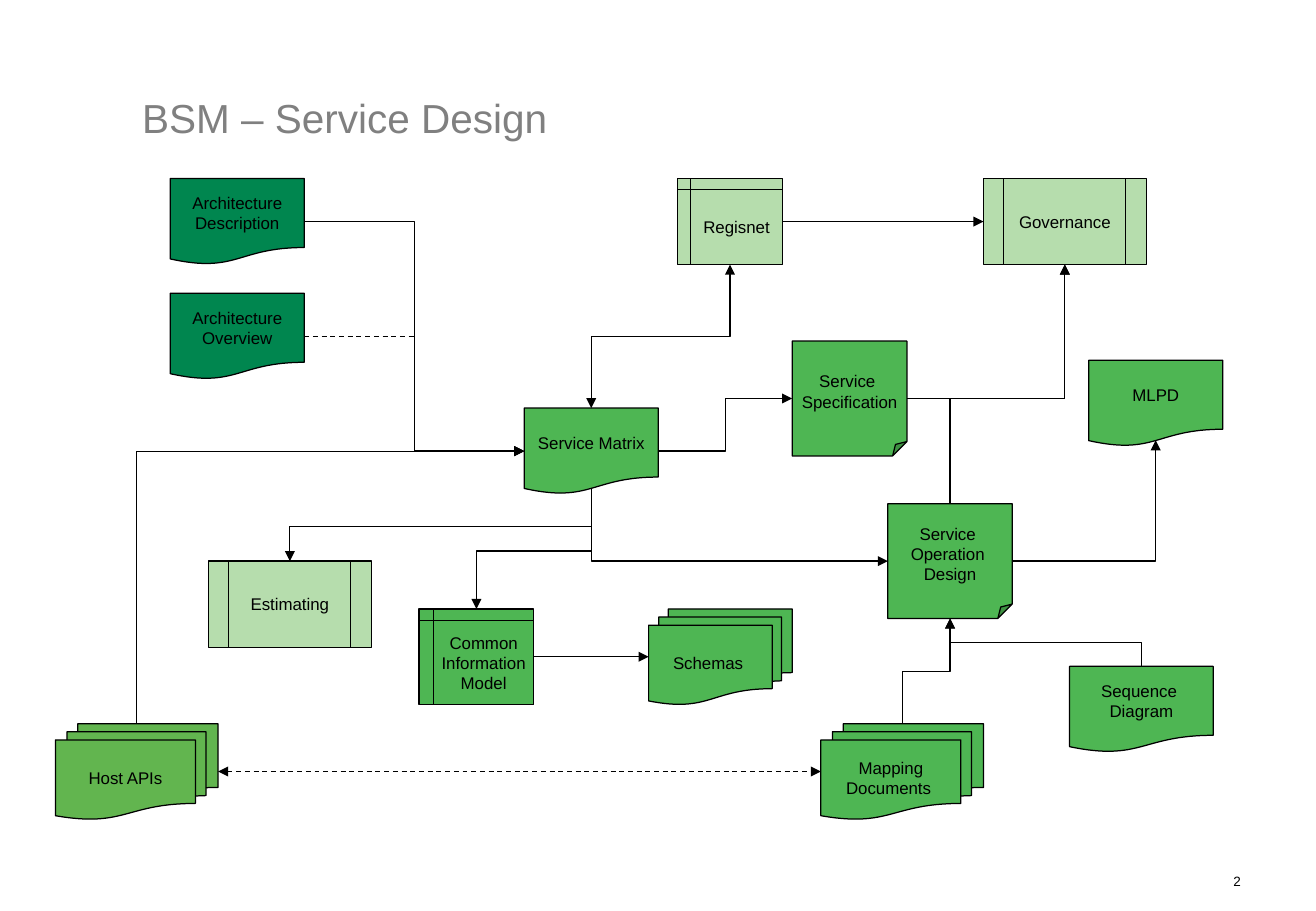
"""Build the service design flow chart slide."""
from pptx import Presentation
from pptx.dml.color import RGBColor
from pptx.enum.dml import MSO_LINE
from pptx.enum.shapes import MSO_CONNECTOR as Link, MSO_SHAPE as Shape
from pptx.enum.text import MSO_ANCHOR as Anchor, PP_ALIGN as Align
from pptx.oxml.ns import qn
from pptx.util import Cm, Inches, Pt
from lxml.etree import SubElement

BLACK = RGBColor(0x00, 0x00, 0x00)
GREY = RGBColor(0x80, 0x80, 0x80)
DARK = RGBColor(0x00, 0x86, 0x4F)
GREEN = RGBColor(0x4E, 0xB6, 0x53)
LEAF = RGBColor(0x62, 0xB5, 0x4F)
PALE = RGBColor(0xB6, 0xDD, 0xAD)

WIDTH, HEIGHT = Inches(10.83), Inches(7.5)
CELL, LEFT, TOP = Cm(0.2), Inches(0.22), Inches(1.47)
CURVE = 0.93
SITES = {"top": 0, "left": 1, "bottom": 2, "right": 3}

DOCUMENT, STACK = Shape.FLOWCHART_DOCUMENT, Shape.FLOWCHART_MULTIDOCUMENT
STORAGE, PROCESS = Shape.FLOWCHART_INTERNAL_STORAGE, Shape.FLOWCHART_PREDEFINED_PROCESS
NOTE = Shape.FOLDED_CORNER

# Each row: name, kind, colour, column, row, columns wide, rows high, lines
BOXES = [
    ("matrix", DOCUMENT, GREEN, 52, 24, 14, 9, ["Service Matrix"]),
    ("specification", NOTE, GREEN, 80, 17, 12, 12, ["Service ", "Specification"]),
    ("operation", NOTE, GREEN, 90, 34, 13, 12, ["Service ", "Operation ", "Design"]),
    ("mapping", STACK, GREEN, 83, 57, 17, 10, ["Mapping", "Documents "]),
    ("model", STORAGE, GREEN, 41, 45, 12, 10, ["Common", "Information", "Model"]),
    ("schemas", STACK, GREEN, 65, 45, 15, 10, ["Schemas "]),
    ("sequence", DOCUMENT, GREEN, 109, 51, 15, 9, ["Sequence ", "Diagram"]),
    ("estimating", PROCESS, PALE, 19, 40, 17, 9, ["Estimating"]),
    ("registry", STORAGE, PALE, 68, 0, 11, 9, ["Regisnet"]),
    ("overview", DOCUMENT, DARK, 15, 12, 14, 9, ["Architecture", "Overview"]),
    ("host", STACK, LEAF, 3, 57, 17, 10, ["Host APIs"]),
    ("governance", PROCESS, PALE, 100, 0, 17, 9, ["Governance"]),
    ("mlpd", DOCUMENT, GREEN, 111, 19, 14, 9, ["MLPD"]),
    ("description", DOCUMENT, DARK, 15, 0, 14, 9, ["Architecture", "Description"]),
]

# Each row: from, side, to, side, dashed, arrow at both ends
STRAIGHTS = [
    ("host", "right", "mapping", "left", True, True),
    ("model", "right", "schemas", "left", False, False),
    ("registry", "right", "governance", "left", False, False),
]

# Each row: from, side, to, side, share of the way to the turn (None for one
# corner), dashed, arrow at both ends
ELBOWS = [
    ("overview", "right", "matrix", "left", 0.5, True, False),
    ("description", "right", "matrix", "left", 0.5, False, False),
    ("matrix", "bottom", "estimating", "top", 0.53, False, False),
    ("matrix", "top", "registry", "bottom", 0.5, False, True),
    ("matrix", "right", "specification", "left", 0.5, False, False),
    ("matrix", "bottom", "operation", "left", None, False, False),
    ("sequence", "top", "operation", "bottom", 0.5, False, False),
    ("mapping", "top", "operation", "bottom", 0.5, False, False),
    ("matrix", "bottom", "model", "top", 0.52, False, False),
    ("host", "top", "matrix", "left", None, False, False),
    ("operation", "right", "mlpd", "bottom", None, False, False),
    ("specification", "right", "governance", "bottom", None, False, False),
    ("operation", "top", "governance", "bottom", 0.44, False, False),
]


def write(frame, lines, size, colour, align):
    """Write one paragraph for each line into a text frame."""
    for index, line in enumerate(lines):
        para = frame.paragraphs[0] if index == 0 else frame.add_paragraph()
        para.alignment = align
        span = para.add_run()
        span.text = line
        span.font.name = "Arial"
        span.font.size = Pt(size)
        span.font.color.rgb = colour


def add_label(page, shares, line, size, colour, align, anchor, inset):
    """Add a text box placed by shares of the slide's size."""
    left, top, width, height = shares
    box = page.shapes.add_textbox(int(WIDTH * left), int(HEIGHT * top),
                                  int(WIDTH * width), int(HEIGHT * height))
    frame = box.text_frame
    frame.word_wrap = True
    frame.vertical_anchor = anchor
    frame.margin_left = frame.margin_right = inset
    frame.margin_top = frame.margin_bottom = inset // 2
    write(frame, [line], size, colour, align)


def set_guide(item, name, share):
    """Set one adjustment of a preset outline."""
    guides = item._element.spPr.find(qn("a:prstGeom")).find(qn("a:avLst"))
    SubElement(guides, qn("a:gd"), name=name, fmla=f"val {round(share * 100000)}")


def add_box(page, kind, colour, column, row, columns, rows, lines):
    """Add one flow chart box on the grid."""
    box = page.shapes.add_shape(kind, LEFT + column * CELL, TOP + row * CELL,
                                columns * CELL, rows * CELL)
    box.shadow.inherit = False
    box.fill.solid()
    box.fill.fore_color.rgb = colour
    box.line.color.rgb = BLACK
    box.line.width = Pt(0.75)
    if kind == NOTE:
        set_guide(box, "adj", 0.125)
    box.text_frame.word_wrap = False
    box.text_frame.vertical_anchor = Anchor.MIDDLE
    write(box.text_frame, lines, 10, BLACK, Align.CENTER)
    return box


def side_point(box, side):
    """Return the point where a link meets the given side of a box."""
    depth = CURVE if box.auto_shape_type == DOCUMENT else 1
    across, down = {"top": (0.5, 0), "left": (0, 0.5),
                    "bottom": (0.5, depth), "right": (1, 0.5)}[side]
    return box.left + int(box.width * across), box.top + int(box.height * down)


def style_link(link, dashed, both):
    """Give a connector its line, arrowheads and no shadow."""
    link.line.color.rgb = BLACK
    link.line.width = Pt(0.75)
    if dashed:
        link.line.dash_style = MSO_LINE.DASH
    outline = link._element.spPr.find(qn("a:ln"))
    for end in ["headEnd", "tailEnd"] if both else ["tailEnd"]:
        SubElement(outline, qn(f"a:{end}"), type="triangle")
    SubElement(link._element.spPr, qn("a:effectLst"))


def add_straight(page, boxes, source, out, target, into, dashed, both):
    """Join two boxes with a straight arrow."""
    link = page.shapes.add_connector(Link.STRAIGHT, 0, 0, 0, 0)
    link.begin_connect(boxes[source], SITES[out])
    link.end_connect(boxes[target], SITES[into])
    style_link(link, dashed, both)


def add_elbow(page, boxes, source, out, target, into, turn, dashed, both):
    """Draw a bent arrow, turned by a quarter if it leaves up or down."""
    x1, y1 = side_point(boxes[source], out)
    x2, y2 = side_point(boxes[target], into)
    angle = {"bottom": 90, "top": 270}.get(out, 0)
    if angle:
        middle_x, middle_y = (x1 + x2) // 2, (y1 + y2) // 2
        half_width, half_height = abs(y2 - y1) // 2, abs(x2 - x1) // 2
        if (x2 > x1) == (angle == 90):
            half_height = -half_height
        x1, x2 = middle_x - half_width, middle_x + half_width
        y1, y2 = middle_y - half_height, middle_y + half_height
    link = page.shapes.add_connector(Link.ELBOW, x1, y1, x2, y2)
    properties = link._element.spPr
    if angle:
        properties.find(qn("a:xfrm")).set("rot", str(angle * 60000))
    if turn is None:
        properties.find(qn("a:prstGeom")).set("prst", "bentConnector2")
    else:
        set_guide(link, "adj1", turn)
    style_link(link, dashed, both)


def main():
    """Build and save the deck."""
    deck = Presentation()
    deck.slide_width, deck.slide_height = WIDTH, HEIGHT
    page = deck.slides.add_slide(deck.slide_layouts[6])
    add_label(page, (0.108, 0.028, 0.742, 0.128), "BSM – Service Design",
              24, GREY, Align.LEFT, Anchor.BOTTOM, 0)
    add_label(page, (0.886, 0.952, 0.066, 0.031), "2",
              8, BLACK, Align.RIGHT, Anchor.TOP, Inches(0.1))
    boxes = {name: add_box(page, *rest) for name, *rest in BOXES}
    for straight in STRAIGHTS:
        add_straight(page, boxes, *straight)
    for elbow in ELBOWS:
        add_elbow(page, boxes, *elbow)
    deck.save("out.pptx")


if __name__ == "__main__":
    main()
